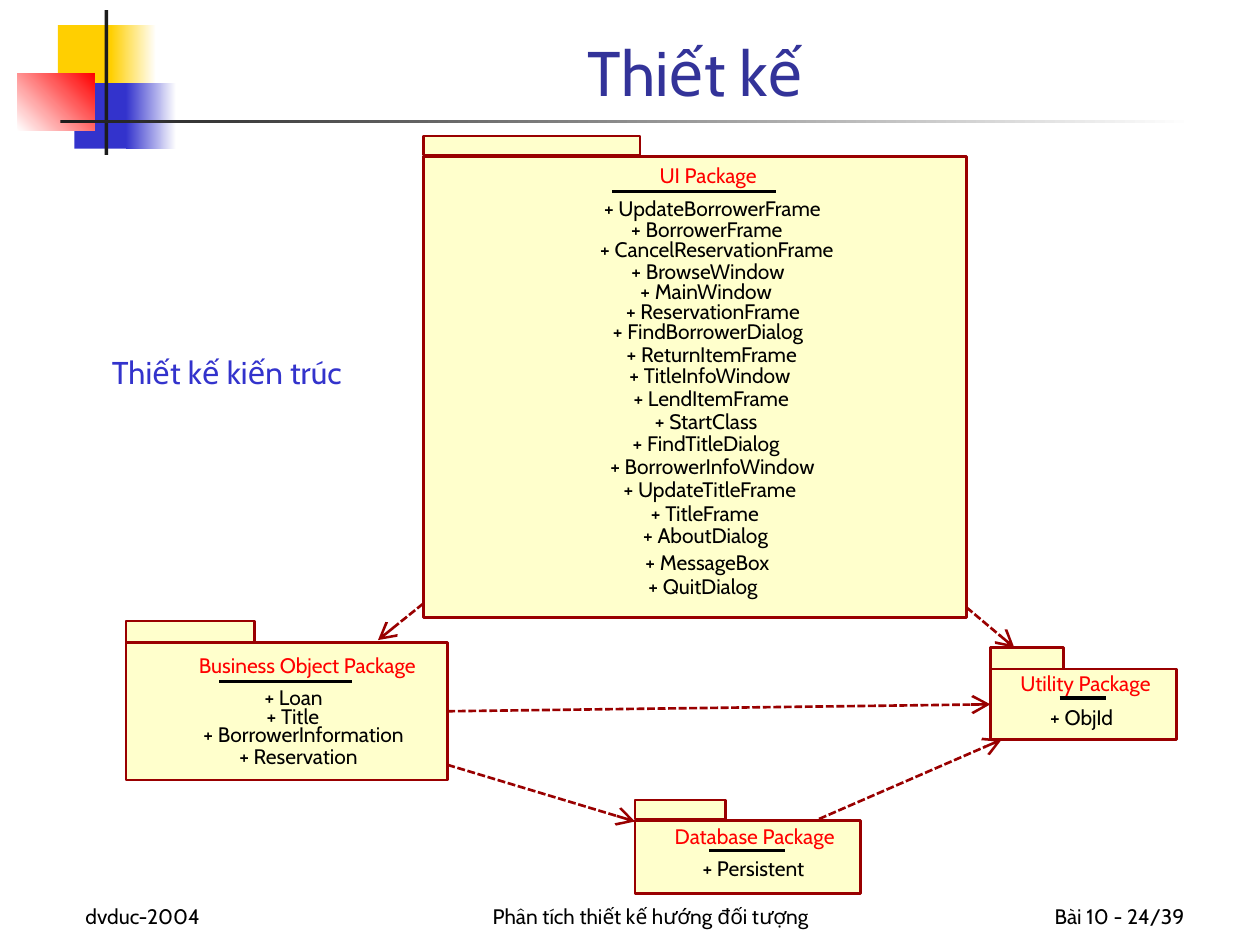
from lxml import etree
from pptx import Presentation
from pptx.dml.color import RGBColor
from pptx.enum.dml import MSO_LINE
from pptx.enum.shapes import MSO_CONNECTOR, MSO_SHAPE
from pptx.enum.text import MSO_ANCHOR, MSO_AUTO_SIZE, PP_ALIGN
from pptx.oxml.ns import qn
from pptx.util import Inches, Pt

FONT = "Cabin"
WHITE = RGBColor(0xFF, 0xFF, 0xFF)
BLACK = RGBColor(0x00, 0x00, 0x00)
CHARCOAL = RGBColor(0x1C, 0x1C, 0x1C)
YELLOW = RGBColor(0xFF, 0xCF, 0x01)
BLUE = RGBColor(0x33, 0x33, 0xCC)
NAVY = RGBColor(0x33, 0x33, 0x99)
RED = RGBColor(0xFF, 0x00, 0x00)
MAROON = RGBColor(0x99, 0x00, 0x00)
CREAM = RGBColor(0xFF, 0xFF, 0xCC)

# Labels are (text, left, top, width)
UI_MEMBERS = [
    ("+ UpdateBorrowerFrame", 4.68, 1.55, 1.95),
    ("+ BorrowerFrame", 4.92, 1.72, 1.38),
    ("+ CancelReservationFrame", 4.65, 1.88, 2.08),
    ("+ BrowseWindow", 4.94, 2.05, 1.36),
    ("+ MainWindow", 5.02, 2.21, 1.17),
    ("+ ReservationFrame", 4.88, 2.37, 1.56),
    ("+ FindBorrowerDialog", 4.76, 2.53, 1.72),
    ("+ ReturnItemFrame", 4.88, 2.71, 1.54),
    ("+ TitleInfoWindow", 4.92, 2.88, 1.43),
    ("+ LendItemFrame", 4.95, 3.06, 1.39),
    ("+ StartClass", 5.15, 3.24, 0.91),
    ("+ FindTitleDialog", 4.95, 3.42, 1.31),
    ("+ BorrowerInfoWindow", 4.74, 3.6, 1.83),
    ("+ UpdateTitleFrame", 4.86, 3.78, 1.55),
    ("+ TitleFrame", 5.11, 3.97, 0.97),
    ("+ AboutDialog", 5.04, 4.15, 1.12),
    ("+ MessageBox", 5.05, 4.36, 1.13),
    ("+ QuitDialog", 5.09, 4.55, 0.98),
]
BUSINESS_MEMBERS = [
    ("+ Loan", 2.07, 5.43, 0.52),
    ("+ Title", 2.09, 5.58, 0.47),
    ("+ BorrowerInformation", 1.5, 5.73, 1.82),
    ("+ Reservation", 1.84, 5.9, 1.06),
]


def add_box(slide, left, top, width, height):
    box = slide.shapes.add_shape(
        MSO_SHAPE.RECTANGLE, Inches(left), Inches(top), Inches(width), Inches(height))
    box.shadow.inherit = False
    return box


def add_solid(slide, color, *place):
    block = add_box(slide, *place)
    block.fill.solid()
    block.fill.fore_color.rgb = color
    block.line.fill.background()
    return block


def add_fade(slide, start, end, angle, *place):
    """Rectangle fading from start to end; angle runs counter-clockwise."""
    fade = add_box(slide, *place)
    fade.fill.gradient()
    fade.fill.gradient_angle = angle
    for stop, color in zip(fade.fill.gradient_stops, (start, end)):
        stop.color.rgb = color
    fade.line.fill.background()


def add_outlined(slide, *place):
    outlined = add_solid(slide, CREAM, *place)
    outlined.line.color.rgb = MAROON
    outlined.line.width = Pt(1.5)
    return outlined


def write(frame, text, size, color, align=PP_ALIGN.CENTER):
    paragraph = frame.paragraphs[0]
    paragraph.alignment = align
    run = paragraph.add_run()
    run.text = text
    run.font.name = FONT
    run.font.size = Pt(size)
    run.font.color.rgb = color


def add_text_frame(slide, left, top, width, height):
    return slide.shapes.add_textbox(
        Inches(left), Inches(top), Inches(width), Inches(height)).text_frame


def add_label(slide, color, text, left, top, width):
    """Single unwrapped line without insets, centred on its box."""
    frame = add_text_frame(slide, left, top, width, 0.2)
    frame.margin_left = frame.margin_right = 0
    frame.margin_top = frame.margin_bottom = 0
    frame.word_wrap = False
    frame.auto_size = MSO_AUTO_SIZE.SHAPE_TO_FIT_TEXT
    write(frame, text, 12, color)


def add_line(slide, color, weight, start, end):
    line = slide.shapes.add_connector(
        MSO_CONNECTOR.STRAIGHT, *(Inches(value) for value in (*start, *end)))
    line.line.color.rgb = color
    line.line.width = Pt(weight)
    etree.SubElement(line._element.spPr, qn("a:effectLst"))
    return line


def add_dependency(slide, start, end):
    """Dashed arrow with an open head at its end."""
    arrow = add_line(slide, MAROON, 1.5, start, end)
    arrow.line.dash_style = MSO_LINE.SQUARE_DOT
    etree.SubElement(arrow.line._get_or_add_ln(), qn("a:tailEnd"),
                     type="arrow", w="lg", len="lg")
    return arrow


def add_package(slide, body, tab, heading, rule, members):
    """Package symbol; rule is (left, right, y). Returns the body."""
    package = add_outlined(slide, *body)
    add_outlined(slide, *tab)
    add_label(slide, RED, *heading)
    left, right, y = rule
    add_line(slide, BLACK, 0, (left, y), (right, y))
    for member in members:
        add_label(slide, BLACK, *member)
    return package


def add_decoration(slide):
    add_solid(slide, YELLOW, 0.46, 0.2, 0.48, 0.52)
    add_fade(slide, YELLOW, WHITE, 0, 0.88, 0.2, 0.36, 0.52)
    add_solid(slide, BLUE, 0.59, 0.66, 0.46, 0.52)
    add_fade(slide, BLUE, WHITE, 0, 1, 0.66, 0.4, 0.52)
    add_fade(slide, WHITE, RED, 45, 0.14, 0.58, 0.61, 0.46)
    add_solid(slide, CHARCOAL, 0.83, 0.08, 0.03, 1.15)
    add_fade(slide, CHARCOAL, WHITE, 0, 0.48, 0.95, 9, 0.03)


def add_title(slide, text):
    title = slide.shapes.title
    title.left, title.top = Inches(1.26), Inches(0.08)
    title.width, title.height = Inches(8.52), Inches(0.84)
    title.text_frame.vertical_anchor = MSO_ANCHOR.BOTTOM
    write(title.text_frame, text, 36, NAVY)


def add_footer(slide, text, left, width, align):
    frame = add_text_frame(slide, left, 6.92, width, 0.5)
    frame.word_wrap = True
    frame.vertical_anchor = MSO_ANCHOR.BOTTOM
    write(frame, text, 12, BLACK, align)


def main():
    deck = Presentation()
    deck.slide_width, deck.slide_height = Inches(10), Inches(7.5)
    slide = deck.slides.add_slide(deck.slide_layouts[5])

    add_decoration(slide)
    add_title(slide, "Thiết kế")
    add_footer(slide, "dvduc-2004", 0.58, 2.08, PP_ALIGN.LEFT)
    add_footer(slide, "Phân tích thiết kế hướng đối tượng", 3.25, 3.83, PP_ALIGN.CENTER)
    add_footer(slide, "Bài 10 - 24/39", 7.42, 2.08, PP_ALIGN.RIGHT)

    add_package(slide, (5.04, 6.51, 1.79, 0.58), (5.04, 6.35, 0.72, 0.15),
                ("Database Package", 5.27, 6.54, 1.44), (5.63, 6.23, 6.75),
                [("+ Persistent", 5.52, 6.79, 0.92)])
    business = add_package(
        slide, (1, 5.1, 2.55, 1.09), (1, 4.93, 1.02, 0.17),
        ("Business Object Package", 1.47, 5.18, 1.94), (1.74, 2.79, 5.41),
        BUSINESS_MEMBERS)
    add_package(slide, (3.36, 1.24, 4.31, 3.66), (3.36, 1.08, 1.72, 0.15),
                ("UI Package", 5.18, 1.29, 0.88), (4.86, 6.16, 1.52), UI_MEMBERS)
    utility = add_package(
        slide, (7.86, 5.31, 1.48, 0.56), (7.86, 5.14, 0.58, 0.17),
        ("Utility Package", 8.04, 5.32, 1.15), (8.41, 8.78, 5.54),
        [("+ ObjId", 8.3, 5.59, 0.57)])

    add_dependency(slide, (3.36, 4.79), (3, 5.08))
    add_dependency(slide, (3.55, 6.07), (5.04, 6.52))
    add_dependency(slide, (6.5, 6.5), (7.95, 5.87))
    add_dependency(slide, (7.67, 4.82), (8.05, 5.14))
    business_to_utility = add_dependency(slide, (3.55, 5.65), (7.86, 5.59))
    business_to_utility.begin_connect(business, 3)
    business_to_utility.end_connect(utility, 1)

    caption = add_text_frame(slide, 0.69, 2.75, 2.22, 0.4)
    caption.word_wrap = False
    caption.auto_size = MSO_AUTO_SIZE.SHAPE_TO_FIT_TEXT
    write(caption, "Thiết kế kiến trúc", 18, BLUE)

    deck.save("out.pptx")


if __name__ == "__main__":
    main()
